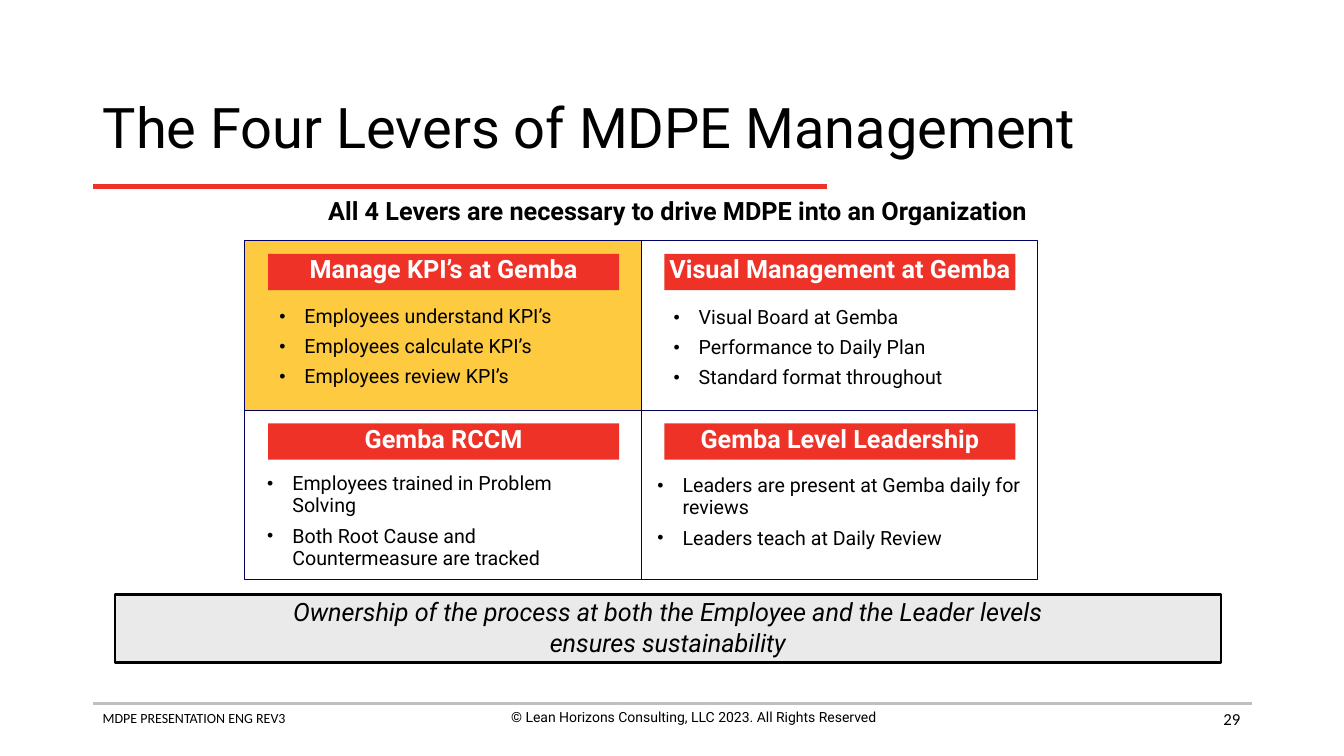
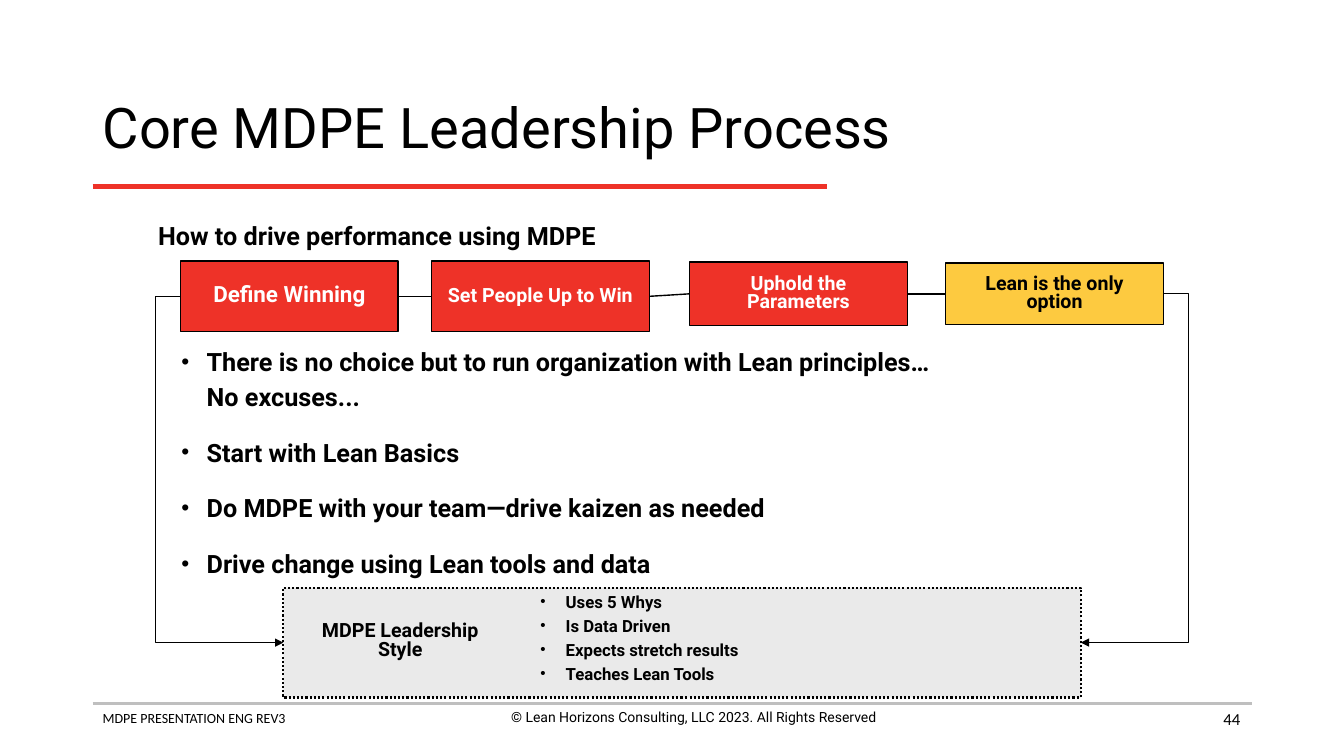
"""Build two slides on MDPE levers and the leadership process."""
from lxml import etree
from pptx import Presentation
from pptx.dml.color import RGBColor
from pptx.enum.dml import MSO_LINE
from pptx.enum.shapes import MSO_CONNECTOR, MSO_SHAPE
from pptx.enum.text import MSO_ANCHOR, PP_ALIGN
from pptx.oxml.ns import qn
from pptx.util import Inches, Pt

LEFT, CENTER, RIGHT = PP_ALIGN.LEFT, PP_ALIGN.CENTER, PP_ALIGN.RIGHT
TOP, MIDDLE, BOTTOM = MSO_ANCHOR.TOP, MSO_ANCHOR.MIDDLE, MSO_ANCHOR.BOTTOM
STRAIGHT, ELBOW = MSO_CONNECTOR.STRAIGHT, MSO_CONNECTOR.ELBOW
RECT, DOTTED = MSO_SHAPE.RECTANGLE, MSO_LINE.ROUND_DOT

RED, GOLD, GREY, RULE = "EE3228", "FDCA40", "EAEAEA", "BFBFBF"
NAVY, BLACK, WHITE = "000066", "000000", "FFFFFF"
BODY, SMALL = "Roboto", "Calibri"
TIGHT = (0.08, 0.04)

FOOTER = "MDPE PRESENTATION ENG REV3"
RIGHTS = "© Lean Horizons Consulting, LLC 2023. All Rights Reserved"

CLAIM = "All 4 Levers are necessary to drive MDPE into an Organization"
LEVERS = [
    ("Manage KPI’s at Gemba", GOLD, (0.26, 0.6, 3.37),
     ["Employees understand KPI’s", "Employees calculate KPI’s",
      "Employees review KPI’s"]),
    ("Visual Management at Gemba", None, (0.24, 0.61, 3.49),
     ["Visual Board at Gemba", "Performance to Daily Plan",
      "Standard format throughout"]),
    ("Gemba RCCM", None, (0.14, 0.58, 3.58),
     ["Employees trained in Problem Solving",
      "Both Root Cause and Countermeasure are tracked"]),
    ("Gemba Level Leadership", None, (0.08, 0.6, 3.78),
     ["Leaders are present at Gemba daily for reviews",
      "Leaders teach at Daily Review"]),
]
OWNER = ("Ownership of the process at both the Employee and the Leader levels\n"
         "ensures sustainability")

LEAD = "How to drive performance using MDPE"
STEPS = [
    ("Define Winning", 16, RED, WHITE, (1.79, 2.59, 2.16, 0.7)),
    ("Set People Up to Win", 14, RED, WHITE, (4.28, 2.59, 2.16, 0.7)),
    ("Uphold the Parameters", 14, RED, WHITE, (6.84, 2.6, 2.16, 0.63)),
    ("Lean is the only option", 14, GOLD, BLACK, (9.38, 2.61, 2.16, 0.61)),
]
POINTS = [
    "There is no choice but to run organization with Lean principles…\n"
    "No excuses...",
    "Start with Lean Basics",
    "Do MDPE with your team—drive kaizen as needed",
    "Drive change using Lean tools and data",
]
STYLE = "MDPE Leadership Style"
TRAITS = ["Uses 5 Whys", "Is Data Driven", "Expects stretch results",
          "Teaches Lean Tools"]
PANEL = (2.81, 5.83, 7.91, 1.09)


def color(code):
    """Turn a hex string into a colour."""
    return RGBColor.from_string(code)


def add_mark(para):
    """Give a paragraph a hanging round bullet."""
    props = para._p.get_or_add_pPr()
    props.set("marL", str(Inches(0.25)))
    props.set("indent", str(-Inches(0.25)))
    tint = etree.SubElement(props, qn("a:buClr"))
    etree.SubElement(tint, qn("a:srgbClr"), val=BLACK)
    etree.SubElement(props, qn("a:buSzPct"), val="90000")
    etree.SubElement(props, qn("a:buFont"), typeface="Arial")
    etree.SubElement(props, qn("a:buChar"), char="•")


def write(shape, lines, size, ink=BLACK, font=BODY, bold=False, italic=False,
          align=LEFT, anchor=TOP, pitch=1.0, gaps=(0, 0), inset=(0.1, 0.05),
          marks=False, wrap=True):
    """Fill a shape with paragraphs of one style."""
    frame = shape.text_frame
    frame.word_wrap, frame.vertical_anchor = wrap, anchor
    frame.margin_left = frame.margin_right = Inches(inset[0])
    frame.margin_top = frame.margin_bottom = Inches(inset[1])
    for i, line in enumerate(lines):
        para = frame.add_paragraph() if i else frame.paragraphs[0]
        if marks:
            add_mark(para)
        para.alignment, para.line_spacing = align, pitch
        para.space_before, para.space_after = Pt(gaps[0] if i else 0), Pt(gaps[1])
        for j, part in enumerate(line.split("\n")):
            if j:
                para.add_line_break()
            run = para.add_run()
            run.text = part
            face = run.font
            face.name, face.size = font, Pt(size)
            face.bold, face.italic = bold, italic
            face.color.rgb = color(ink)


def add_text(slide, place, lines, size, **look):
    """Add a text box."""
    box = slide.shapes.add_textbox(*map(Inches, place))
    write(box, lines, size, **look)


def add_box(slide, place, fill=None, line=None, width=1):
    """Add a flat rectangle."""
    box = slide.shapes.add_shape(RECT, *map(Inches, place))
    box.shadow.inherit = False
    if fill:
        box.fill.solid()
        box.fill.fore_color.rgb = color(fill)
    else:
        box.fill.background()
    if line:
        box.line.color.rgb = color(line)
        box.line.width = Pt(width)
    else:
        box.line.fill.background()
    return box


def add_line(slide, start, end, ink=BLACK, width=1, kind=STRAIGHT):
    """Add a plain connector."""
    link = slide.shapes.add_connector(kind, *map(Inches, (*start, *end)))
    link.line.color.rgb = color(ink)
    link.line.width = Pt(width)
    etree.SubElement(link._element.spPr, qn("a:effectLst"))
    return link


def add_loop(slide, start, end, reach=0.25):
    """Add an elbow arrow that swings outside its two ends."""
    link = add_line(slide, start, end, kind=ELBOW)
    props = link._element.spPr
    bend = props.find(qn("a:prstGeom")).find(qn("a:avLst"))
    share = round(-reach / abs(end[0] - start[0]) * 100000)
    etree.SubElement(bend, qn("a:gd"), name="adj1", fmla=f"val {share}")
    etree.SubElement(props.find(qn("a:ln")), qn("a:tailEnd"), type="triangle")


def add_slide(deck, title, page):
    """Add a slide with title, rules and footer."""
    slide = deck.slides.add_slide(deck.slide_layouts[6])
    add_line(slide, (0.92, 6.98), (12.42, 6.98), RULE, 2)
    add_text(slide, (0.92, 6.99, 4.56, 0.44), [FOOTER], 10, font=SMALL)
    add_text(slide, (4.6, 6.98, 4.56, 0.44), [RIGHTS], 10, align=CENTER)
    add_line(slide, (0.92, 1.85), (8.2, 1.85), RED, 3)
    add_text(slide, (0.92, 0.74, 11.5, 1.1), [title], 40, anchor=MIDDLE,
             pitch=0.9)
    add_text(slide, (9.4, 6.93, 3, 0.4), [page], 12, font=SMALL, align=RIGHT,
             anchor=MIDDLE)
    return slide


def draw_levers(deck):
    """Draw the grid of four levers."""
    slide = add_slide(deck, "The Four Levers of MDPE Management", "29")
    add_text(slide, (1.24, 1.96, 10.96, 0.31), [CLAIM], 18, bold=True,
             align=CENTER, pitch=0.75)
    wide, high = 3.93, 1.68
    for i, (name, fill, (dx, dy, span), items) in enumerate(LEVERS):
        row, col = divmod(i, 2)
        x, y = 2.43 + col * wide, 2.39 + row * high
        add_box(slide, (x, y, wide, high), fill, NAVY, 0.75)
        label = add_box(slide, (x + 0.23, y + 0.13, 3.48, 0.36), RED)
        write(label, [name], 18, WHITE, bold=True, align=CENTER,
              anchor=MIDDLE, pitch=0.75, wrap=False)
        add_text(slide, (x + dx, y + dy, span, 1), items, 14, pitch=0.95,
                 gaps=(2.8, 2.8), inset=TIGHT, marks=True)
    band = add_box(slide, (1.14, 5.9, 10.97, 0.67), GREY, BLACK, 2)
    write(band, [OWNER], 18, italic=True, align=CENTER, anchor=BOTTOM)


def draw_process(deck):
    """Draw the steps, their links and the style panel."""
    slide = add_slide(deck, "Core MDPE Leadership Process", "44")
    panel = add_box(slide, PANEL, GREY, BLACK, 1.5)
    panel.line.dash_style = DOTTED
    ends = []
    for name, size, fill, ink, place in STEPS:
        step = add_box(slide, place, fill, BLACK)
        write(step, [name], size, ink, bold=True, align=CENTER,
              anchor=MIDDLE, pitch=0.8)
        x, y, wide, high = place
        ends.append(((x, y + high / 2), (x + wide, y + high / 2)))
    for here, there in zip(ends, ends[1:]):
        add_line(slide, here[1], there[0])
    x, y, wide, high = PANEL
    add_loop(slide, ends[0][0], (x, y + high / 2))
    add_loop(slide, ends[-1][1], (x + wide, y + high / 2))
    add_text(slide, (1.72, 3.35, 9.8, 2.51), POINTS, 18, bold=True,
             pitch=1.15, gaps=(6, 9), inset=TIGHT, marks=True)
    add_text(slide, (5.28, 5.86, 4.89, 1.01), TRAITS, 12, bold=True,
             pitch=0.85, gaps=(2.4, 2.4), inset=TIGHT, marks=True)
    add_text(slide, (2.87, 6.13, 2.2, 0.48), [STYLE], 14, bold=True,
             align=CENTER, pitch=0.8)
    add_text(slide, (1.47, 2.19, 10.4, 0.35), [LEAD], 18, bold=True, pitch=0.8)


def main():
    """Build and save the deck."""
    deck = Presentation()
    deck.slide_width, deck.slide_height = Inches(13.33), Inches(7.5)
    draw_levers(deck)
    draw_process(deck)
    deck.save("out.pptx")


if __name__ == "__main__":
    main()
